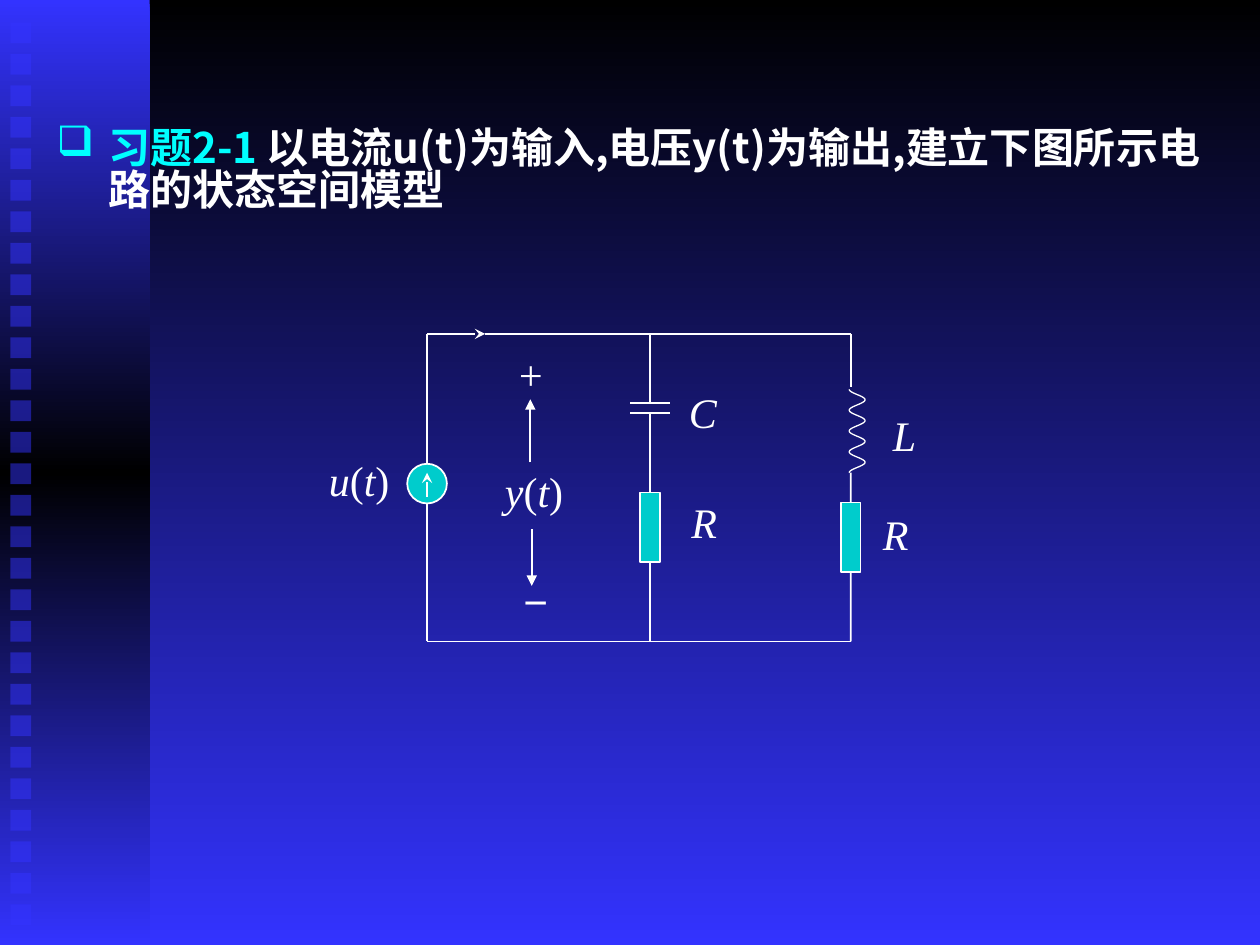
from copy import deepcopy
from dataclasses import dataclass
from math import cos, pi

from lxml.etree import SubElement
from pptx import Presentation
from pptx.dml.color import RGBColor as RGB
from pptx.enum.shapes import MSO_CONNECTOR as CONN, MSO_SHAPE as SHAPE
from pptx.enum.text import MSO_ANCHOR as ANCHOR, MSO_AUTO_SIZE as AUTO, PP_ALIGN as ALIGN
from pptx.oxml.ns import qn
from pptx.util import Cm, Pt


@dataclass(frozen=True)
class Theme:
    """Colours, fonts and sizes of the slide."""
    black: RGB = RGB(0x00, 0x00, 0x00)
    blue: RGB = RGB(0x33, 0x33, 0xFF)
    cyan: RGB = RGB(0x00, 0xFF, 0xFF)
    teal: RGB = RGB(0x00, 0xCC, 0xCC)
    white: RGB = RGB(0xFF, 0xFF, 0xFF)
    heading_font: str = "Noto Sans CJK SC"
    math_font: str = "Times New Roman"
    sign_font: str = "Arial"
    text_size: Pt = Pt(24)
    wire: Pt = Pt(1)
    coil: Pt = Pt(0.75)


def apply(obj, **values):
    """Set every given attribute on an object."""
    for name, value in values.items():
        setattr(obj, name, value)


class CircuitSlide:
    """Draws the parts of a circuit slide in one theme."""

    def __init__(self, prs, theme):
        """Add a title-only slide to the presentation."""
        self.t = theme
        self.s = prs.slides.add_slide(prs.slide_layouts[5])

    def gradient(self, fill, *colours):
        """Fill from top to bottom with evenly spaced colours."""
        fill.gradient()
        fill.gradient_angle = 270
        stops = fill.gradient_stops
        first = stops[0]._gs
        for _ in colours[2:]:
            first.addnext(deepcopy(first))
        last = len(colours) - 1
        for i, (stop, colour) in enumerate(zip(fill.gradient_stops, colours)):
            stop.color.rgb = colour
            stop.position = i / last

    def box(self, kind, x, y, w, h, fill=None, line=None, alpha=None):
        """Add a preset shape, optionally filled, outlined or translucent."""
        sp = self.s.shapes.add_shape(kind, Cm(x), Cm(y), Cm(w), Cm(h))
        sp.shadow.inherit = False
        if fill is not None:
            sp.fill.solid()
            sp.fill.fore_color.rgb = fill
        if alpha:
            colour = sp._element.spPr.find(".//" + qn("a:srgbClr"))
            SubElement(colour, qn("a:alpha"), val=str(alpha * 1000))
        self.outline(sp, line, self.t.wire)
        return sp

    def outline(self, sp, colour, width):
        """Give a shape a plain outline, or none."""
        if colour is None:
            sp.line.fill.background()
        else:
            sp.line.color.rgb = colour
            sp.line.width = width

    def band(self):
        """Add the shaded side band with its column of squares."""
        t = self.t
        sp = self.box(SHAPE.RECTANGLE, 0, 0, 3.02, 19.05)
        self.gradient(sp.fill, t.blue, t.black, t.blue)
        for i in range(29):
            self.box(SHAPE.RECTANGLE, 0.21, 0.45 + 17.78 * i / 28, 0.42, 0.42, t.blue, alpha=50)

    def wire(self, x1, y1, x2, y2, begin=None, end=None, head=None):
        """Add a straight wire, optionally joined to shapes or with an arrowhead."""
        c = self.s.shapes.add_connector(CONN.STRAIGHT, Cm(x1), Cm(y1), Cm(x2), Cm(y2))
        if begin:
            c.begin_connect(*begin)
        if end:
            c.end_connect(*end)
        self.outline(c, self.t.white, self.t.wire)
        if head:
            SubElement(c.line._get_or_add_ln(), qn("a:tailEnd"), type=head)
        SubElement(c._element.spPr, qn("a:effectLst"))

    def resistor(self, x, y):
        """Add a resistor centred on x with its top at y."""
        return self.box(SHAPE.RECTANGLE, x - 0.2, y, 0.4, 1.4, self.t.teal, self.t.white)

    def inductor(self, x, top, bottom, turns=4, steps=24):
        """Add a wavy coil that swings to the right of x."""
        n = turns * steps
        points = [(Cm(x + 0.16 * (1 - cos(2 * pi * i / steps))), Cm(top + (bottom - top) * i / n))
                  for i in range(n + 1)]
        fb = self.s.shapes.build_freeform(*points[0])
        fb.add_line_segments(points[1:], close=False)
        sp = fb.convert_to_shape()
        sp.shadow.inherit = False
        sp.fill.background()
        self.outline(sp, self.t.white, self.t.coil)

    def label(self, text, x, y, w, font=None):
        """Add a formula label with upright brackets."""
        sp = self.s.shapes.add_textbox(Cm(x), Cm(y), Cm(w), Cm(1.27))
        apply(sp.text_frame, word_wrap=False, auto_size=AUTO.SHAPE_TO_FIT_TEXT)
        p = sp.text_frame.paragraphs[0]
        for char in text:
            r = p.add_run()
            r.text = char
            apply(r.font, name=font or self.t.math_font, size=self.t.text_size, italic=char not in "()")
            r.font.color.rgb = self.t.white

    def title(self, *parts):
        """Format the title as one bulleted paragraph of coloured parts."""
        t = self.t
        sp = self.s.shapes.title
        apply(sp, left=Cm(0.89), top=Cm(2.51), width=Cm(23.8), height=Cm(15.27))
        tf = sp.text_frame
        apply(tf, word_wrap=True, auto_size=AUTO.NONE, vertical_anchor=ANCHOR.TOP)
        p = tf.paragraphs[0]
        apply(p, alignment=ALIGN.LEFT, line_spacing=0.82, space_before=Pt(3))
        pPr = p._p.get_or_add_pPr()
        pPr.set("marL", str(Cm(1.04)))
        pPr.set("indent", str(Cm(-1.04)))
        SubElement(SubElement(pPr, qn("a:buClr")), qn("a:srgbClr"), val=str(t.cyan))
        SubElement(pPr, qn("a:buChar"), char="❑")
        for text, colour in parts:
            r = p.add_run()
            r.text = text
            apply(r.font, name=t.heading_font, size=t.text_size, bold=True)
            r.font.color.rgb = colour
            SubElement(r._r.get_or_add_rPr(), qn("a:ea"), typeface=t.heading_font)
        self.s.shapes._spTree.append(sp._element)


def main():
    """Build the exercise slide."""
    prs = Presentation()
    apply(prs, slide_width=Cm(25.4), slide_height=Cm(19.05))
    t = Theme()
    c = CircuitSlide(prs, t)
    c.gradient(c.s.background.fill, t.black, t.blue)
    c.band()
    c.title(("习题2-1 ", t.cyan), ("以电流u(t)为输入,电压y(t)为输出,建立下图所示电路的状态空间模型", t.white))

    left, mid, right, top, bottom = 8.61, 13.11, 17.15, 6.73, 12.93
    c.wire(left, bottom, right, bottom)
    c.wire(left, top, 9.78, top, head="stealth")
    c.wire(9.78, top, right, top)

    c.box(SHAPE.OVAL, left - 0.4, 9.35, 0.8, 0.8, t.teal, t.white)
    c.wire(left, 9.33, left, top)
    c.wire(left, 10.14, left, bottom)
    c.wire(left, 10.01, left, 9.53, head="stealth")

    c.wire(mid, top, mid, 8.13)
    for plate in (8.13, 8.33):
        c.wire(mid - 0.4, plate, mid + 0.4, plate)
    c.wire(right, top, right, 7.8)
    c.inductor(right - 0.03, 7.85, 9.53)
    for x, start, y in ((mid, 8.33, 9.93), (right, 9.53, 10.13)):
        r = c.resistor(x, y)
        c.wire(x, start, x, y, end=(r, 0))
        c.wire(x, y + 1.4, x, bottom, begin=(r, 2))

    c.wire(10.69, 9.32, 10.69, 8.05, head="triangle")
    c.wire(10.72, 10.67, 10.72, 11.81, head="triangle")
    for text, x, y, w in (
        ("u(t)", 6.38, 9.04, 1.73), ("y(t)", 9.93, 9.25, 1.68), ("C", 13.64, 7.67, 1.07),
        ("R", 13.69, 9.88, 1.02), ("R", 17.55, 10.13, 1.02), ("L", 17.75, 8.13, 0.97),
        ("+", 10.16, 6.91, 1.07),
    ):
        c.label(text, x, y, w)
    c.label("−", 10.29, 11.48, 0.79, t.sign_font)
    prs.save("out.pptx")


if __name__ == "__main__":
    main()
